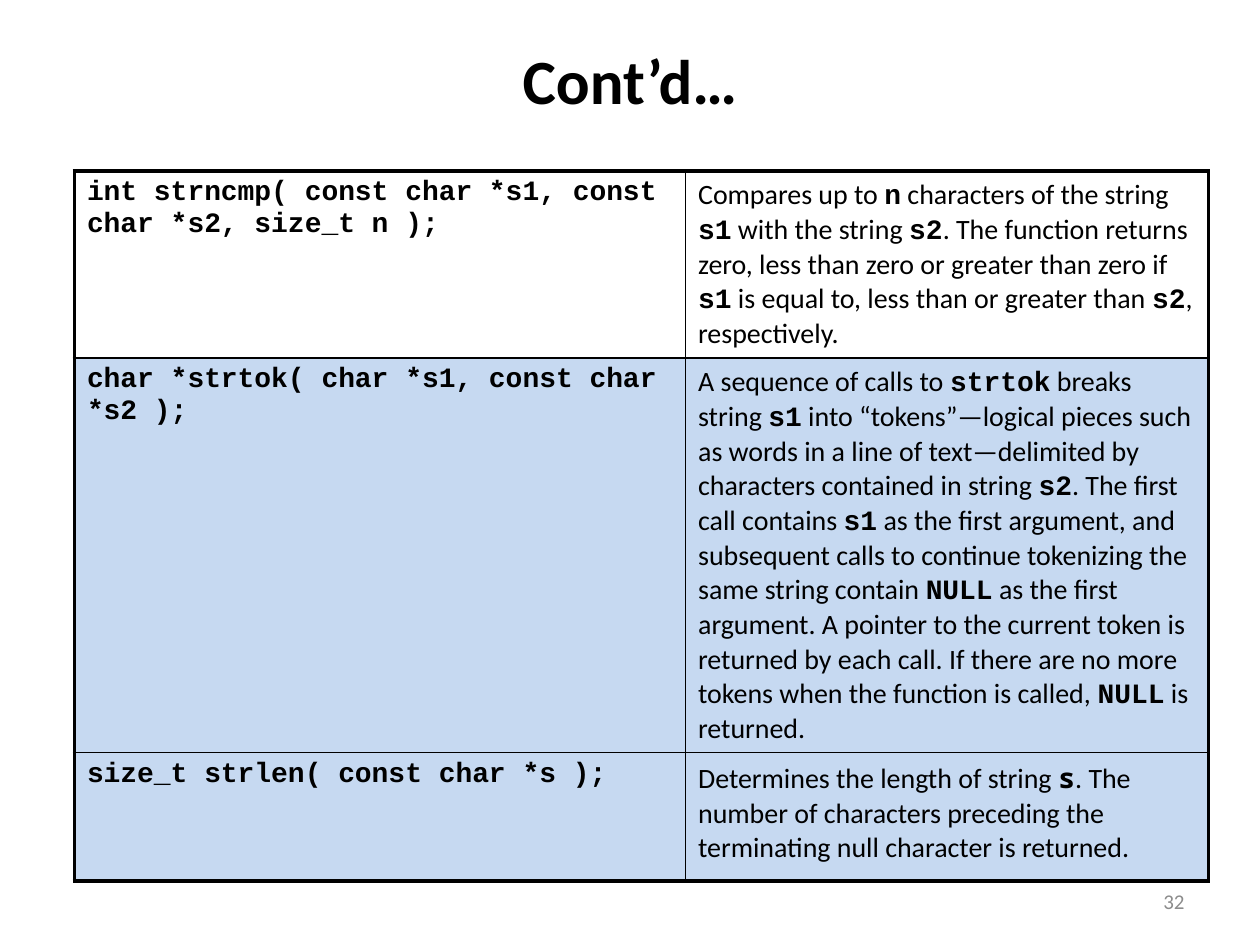
from lxml.etree import SubElement
from pptx import Presentation
from pptx.dml.color import RGBColor
from pptx.enum.text import MSO_ANCHOR, PP_ALIGN
from pptx.oxml.ns import qn
from pptx.util import Cm, Pt

rgb = RGBColor.from_string
SANS, MONO = "Calibri", "Courier New"


def add_text(p, text, font=SANS, size=16, color="000000", bold=False):
    r = p.add_run()
    r.text = text
    r.font.name = font
    r.font.size = Pt(size)
    r.font.bold = bold
    r.font.color.rgb = rgb(color)


def add_border(cell, side, width):
    ln = SubElement(cell._tc.get_or_add_tcPr(), qn(f"a:ln{side}"), w=str(Pt(width)))
    fill = SubElement(ln, qn("a:solidFill"))
    SubElement(fill, qn("a:srgbClr"), val="000000")


prs = Presentation()
prs.slide_width, prs.slide_height = Cm(25.4), Cm(19.05)
s = prs.slides.add_slide(prs.slide_layouts[6])

# Title and slide number
labels = [
    ("Cont’d…", (1.27, 0, 22.86, 3.18), PP_ALIGN.CENTER, dict(size=36, bold=True)),
    ("32", (18.21, 17.65, 5.92, 1.02), PP_ALIGN.RIGHT, dict(size=12, color="8C8C8C")),
]
for text, box, align, style in labels:
    tf = s.shapes.add_textbox(*map(Cm, box)).text_frame
    tf.word_wrap = True
    tf.vertical_anchor = MSO_ANCHOR.MIDDLE
    p = tf.paragraphs[0]
    p.alignment = align
    add_text(p, text, **style)

# Table content: height, fill, code font in the description, prototype,
# description with code between backticks
functions = [
    (3.77, None, MONO, "int strncmp( const char *s1, const char *s2, size_t n );",
     "Compares up to `n` characters of the string `s1` with the string `s2`. "
     "The function returns zero, less than zero or greater than zero if `s1` "
     "is equal to, less than or greater than `s2`, respectively."),
    (7.95, "C6D9F1", MONO, "char *strtok( char *s1, const char *s2 );",
     "A sequence of calls to `strtok` breaks string `s1` into “tokens”—logical "
     "pieces such as words in a line of text—delimited by characters contained "
     "in string `s2`. The first call contains `s1` as the first argument, and "
     "subsequent calls to continue tokenizing the same string contain `NULL` as "
     "the first argument. A pointer to the current token is returned by each "
     "call. If there are no more tokens when the function is called, `NULL` is "
     "returned."),
    (2.59, "C6D9F1", "Noto Sans Mono", "size_t strlen( const char *s );",
     "Determines the length of string `s`. The number of characters preceding "
     "the terminating null character is returned."),
]

# Table
table_height = sum(row[0] for row in functions)
table = s.shapes.add_table(
    len(functions), 2, Cm(1.5), Cm(3.45), Cm(22.86), Cm(table_height)
).table
table.first_row = table.horz_banding = False
for column, width in zip(table.columns, (12.32, 10.54)):
    column.width = Cm(width)

last = len(functions) - 1
for i, (height, fill, code_font, prototype, description) in enumerate(functions):
    table.rows[i].height = Cm(height)
    for j, text in enumerate((f"`{prototype}`", description)):
        cell = table.cell(i, j)

        # Thick outer frame, thin inner lines
        outer = {"L": j == 0, "R": j == 1, "T": i == 0, "B": i == last}
        for side, is_outer in outer.items():
            add_border(cell, side, 2.25 if is_outer else 1)
        if fill:
            cell.fill.solid()
            cell.fill.fore_color.rgb = rgb(fill)
        else:
            cell.fill.background()

        # Every second piece is code
        p = cell.text_frame.paragraphs[0]
        before = SubElement(p._p.get_or_add_pPr(), qn("a:spcBef"))
        SubElement(before, qn("a:spcPct"), val="20000")
        for k, piece in enumerate(text.split("`")):
            if piece:
                is_code = k % 2 == 1
                font = (code_font if j else MONO) if is_code else SANS
                add_text(p, piece, font=font, bold=is_code)

prs.save("out.pptx")
